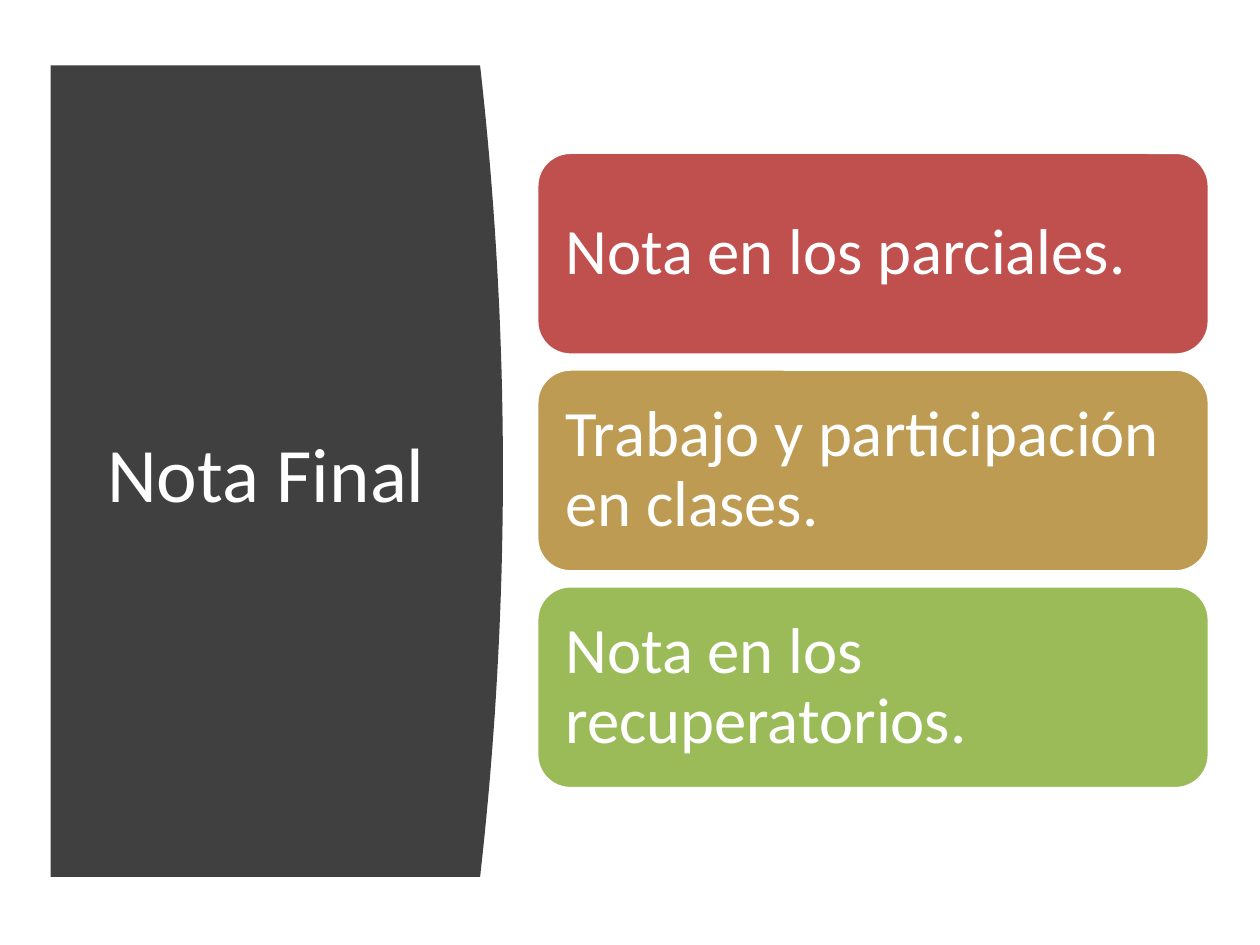
from pptx import Presentation
from pptx.dml.color import RGBColor
from pptx.enum.shapes import MSO_SHAPE
from pptx.enum.text import MSO_ANCHOR, PP_ALIGN
from pptx.util import Cm, Pt

ROUND = MSO_SHAPE.ROUNDED_RECTANGLE
MIDDLE = MSO_ANCHOR.MIDDLE
LEFT, CENTER = PP_ALIGN.LEFT, PP_ALIGN.CENTER
FONT = "Calibri"
WHITE = "FFFFFF"
CARDS = [
    ("Nota en los parciales.", "C0504D"),
    ("Trabajo y participación en clases.", "BD9B53"),
    ("Nota en los recuperatorios.", "9BBB59"),
]


def paint(fill, color):
    fill.solid()
    fill.fore_color.rgb = RGBColor.from_string(color)


def write(shape, text, size, align):
    frame = shape.text_frame
    frame.word_wrap = True
    frame.vertical_anchor = MIDDLE
    para = frame.paragraphs[0]
    para.alignment = align
    run = para.add_run()
    run.text = text
    run.font.name = FONT
    run.font.size = Pt(size)
    paint(run.font.fill, WHITE)
    return frame, para


def add_panel(slide, left, top, width, height):
    # Dark panel whose right edge bulges as a parabola
    bulge, steps = 0.46, 40
    edge = width - bulge
    points = []
    for i in range(steps + 1):
        t = i / steps
        x = edge + bulge * 4 * t * (1 - t)
        points.append((Cm(left + x), Cm(top + height * t)))
    points.append((Cm(left), Cm(top + height)))
    pen = slide.shapes.build_freeform(Cm(left), Cm(top))
    pen.add_line_segments(points, close=True)
    panel = pen.convert_to_shape()
    panel.shadow.inherit = False
    paint(panel.fill, "404040")
    panel.line.fill.background()

    # Title, brought in front of the panel
    title = slide.shapes.title
    title.left, title.top = Cm(left + 0.79), Cm(top + 1.5)
    title.width, title.height = Cm(7.11), Cm(height - 3)
    write(title, "Nota Final", 44, CENTER)
    panel._element.addnext(title._element)


def add_cards(slide, left, top, width, height):
    # Equal cards stacked with a fixed gap
    gap = 0.28
    tall = (height - gap * (len(CARDS) - 1)) / len(CARDS)
    for i, (text, color) in enumerate(CARDS):
        y = top + i * (tall + gap)
        card = slide.shapes.add_shape(ROUND, Cm(left), Cm(y), Cm(width), Cm(tall))
        card.shadow.inherit = False
        paint(card.fill, color)
        paint(card.line.fill, WHITE)
        card.line.width = Pt(2)
        frame, para = write(card, text, 37, LEFT)
        para.line_spacing = 0.9
        frame.margin_left = frame.margin_right = Cm(0.38)
        frame.margin_top = frame.margin_bottom = Cm(0.38)


def main():
    deck = Presentation()
    deck.slide_width, deck.slide_height = Cm(25.4), Cm(19.05)
    slide = deck.slides.add_slide(deck.slide_layouts[5])
    paint(slide.background.fill, WHITE)
    add_panel(slide, 1.02, 1.32, 9.12, 16.36)
    add_cards(slide, 10.82, 3.07, 13.56, 12.83)
    deck.save("out.pptx")


if __name__ == "__main__":
    main()
